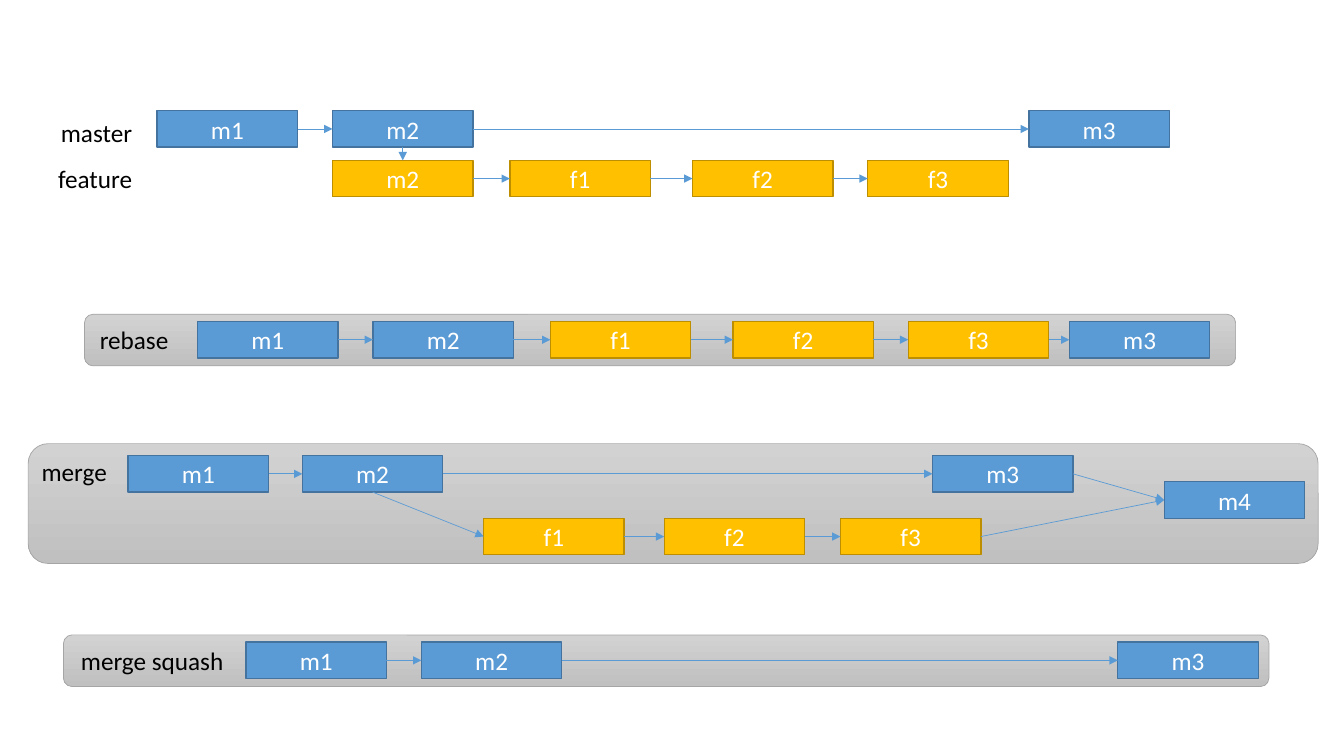
"""Build a slide comparing rebase, merge and merge squash of a feature branch."""
from itertools import pairwise

from lxml.etree import SubElement
from pptx import Presentation
from pptx.dml.color import RGBColor
from pptx.enum.shapes import MSO_CONNECTOR as Connector, MSO_SHAPE as Shape
from pptx.enum.text import MSO_ANCHOR as Anchor, PP_ALIGN as Align
from pptx.oxml.ns import qn
from pptx.util import Cm, Pt

BLUE = RGBColor(0x5B, 0x9B, 0xD5)
DARK_BLUE = RGBColor(0x43, 0x73, 0x9E)
AMBER = RGBColor(0xFF, 0xC0, 0x00)
DARK_AMBER = RGBColor(0xBD, 0x8E, 0x00)
LIGHT_GRAY = RGBColor(0xD2, 0xD2, 0xD2)
MID_GRAY = RGBColor(0xC0, 0xC0, 0xC0)
DARK_GRAY = RGBColor(0xA5, 0xA5, 0xA5)
WHITE = RGBColor(0xFF, 0xFF, 0xFF)
BLACK = RGBColor(0x00, 0x00, 0x00)
COMMIT_COLORS = {"m": (BLUE, DARK_BLUE), "f": (AMBER, DARK_AMBER)}
TOP, LEFT, BOTTOM, RIGHT = range(4)


class BranchDiagram:
    font_name = "Calibri"
    font_size = Pt(18)
    thin = Pt(0.5)
    commit_width = Cm(3.54)
    commit_height = Cm(0.92)

    def __init__(self, slide):
        self.shapes = slide.shapes

    def add_text(self, shape, text, color, align):
        paragraph = shape.text_frame.paragraphs[0]
        paragraph.alignment = align
        run = paragraph.add_run()
        run.text = text
        run.font.name = self.font_name
        run.font.size = self.font_size
        run.font.color.rgb = color

    def panel(self, left, top, width, height):
        shape = self.shapes.add_shape(
            Shape.ROUNDED_RECTANGLE, Cm(left), Cm(top), Cm(width), Cm(height))
        shape.shadow.inherit = False
        shape.fill.gradient()
        shape.fill.gradient_angle = 270
        for stop, color in zip(shape.fill.gradient_stops, (LIGHT_GRAY, MID_GRAY)):
            stop.color.rgb = color
        shape.line.color.rgb = DARK_GRAY
        shape.line.width = self.thin

    def label(self, text, left, top, width, align=Align.CENTER):
        shape = self.shapes.add_textbox(Cm(left), Cm(top), Cm(width), Cm(1.02))
        frame = shape.text_frame
        frame.word_wrap = True
        frame.margin_left = frame.margin_right = Cm(0.2)
        self.add_text(shape, text, BLACK, align)

    def commit(self, name, left, top, kind=None):
        shape = self.shapes.add_shape(
            Shape.RECTANGLE, Cm(left), Cm(top), self.commit_width, self.commit_height)
        fill_color, line_color = COMMIT_COLORS[kind or name[0]]
        shape.shadow.inherit = False
        shape.fill.solid()
        shape.fill.fore_color.rgb = fill_color
        shape.line.color.rgb = line_color
        shape.line.width = Pt(1)
        shape.text_frame.vertical_anchor = Anchor.MIDDLE
        self.add_text(shape, name, WHITE, Align.CENTER)
        return shape

    def arrow(self, start, end, start_site=RIGHT, end_site=LEFT):
        connector = self.shapes.add_connector(Connector.STRAIGHT, 0, 0, 0, 0)
        connector.begin_connect(start, start_site)
        connector.end_connect(end, end_site)
        connector.line.color.rgb = BLUE
        connector.line.width = self.thin
        properties = connector._element.spPr
        SubElement(properties.find(qn("a:ln")), qn("a:tailEnd"), type="triangle")
        SubElement(properties, qn("a:effectLst"))

    def chain(self, top, lefts, kind=None):
        commits = [self.commit(name, left, top, kind) for name, left in lefts.items()]
        for start, end in pairwise(commits):
            self.arrow(start, end)
        return commits


presentation = Presentation()
presentation.slide_width = Cm(33.87)
presentation.slide_height = Cm(19.05)
diagram = BranchDiagram(presentation.slides.add_slide(presentation.slide_layouts[6]))

diagram.label("master", 0, 2.82, 3.53, Align.RIGHT)
diagram.label("feature", 0.33, 3.99, 3.2, Align.RIGHT)
master = diagram.chain(2.79, {"m1": 3.96, "m2": 8.38, "m3": 25.93})
feature = diagram.chain(
    4.04, {"m2": 8.38, "f1": 12.85, "f2": 17.45, "f3": 21.87}, kind="f")
diagram.arrow(master[1], feature[0], BOTTOM, TOP)

diagram.panel(2.13, 7.92, 29.01, 1.3)
diagram.label("rebase", 2.16, 8.05, 2.44)
diagram.chain(8.1, {"m1": 4.98, "m2": 9.4, "f1": 13.87,
                    "f2": 18.47, "f3": 22.89, "m3": 26.95})

diagram.panel(0.71, 11.18, 32.51, 3.02)
diagram.label("merge", 0.69, 11.38, 2.36)
master = diagram.chain(11.48, {"m1": 3.23, "m2": 7.62, "m3": 23.5})
feature = diagram.chain(13.06, {"f1": 12.19, "f2": 16.74, "f3": 21.18})
merged = diagram.commit("m4", 29.34, 12.14)
diagram.arrow(master[1], feature[0], BOTTOM, LEFT)
for branch in (master, feature):
    diagram.arrow(branch[-1], merged)

diagram.panel(1.6, 16, 30.38, 1.3)
diagram.label("merge squash", 1.78, 16.13, 4.11)
diagram.chain(16.18, {"m1": 6.2, "m2": 10.62, "m3": 28.17})

presentation.save("out.pptx")
